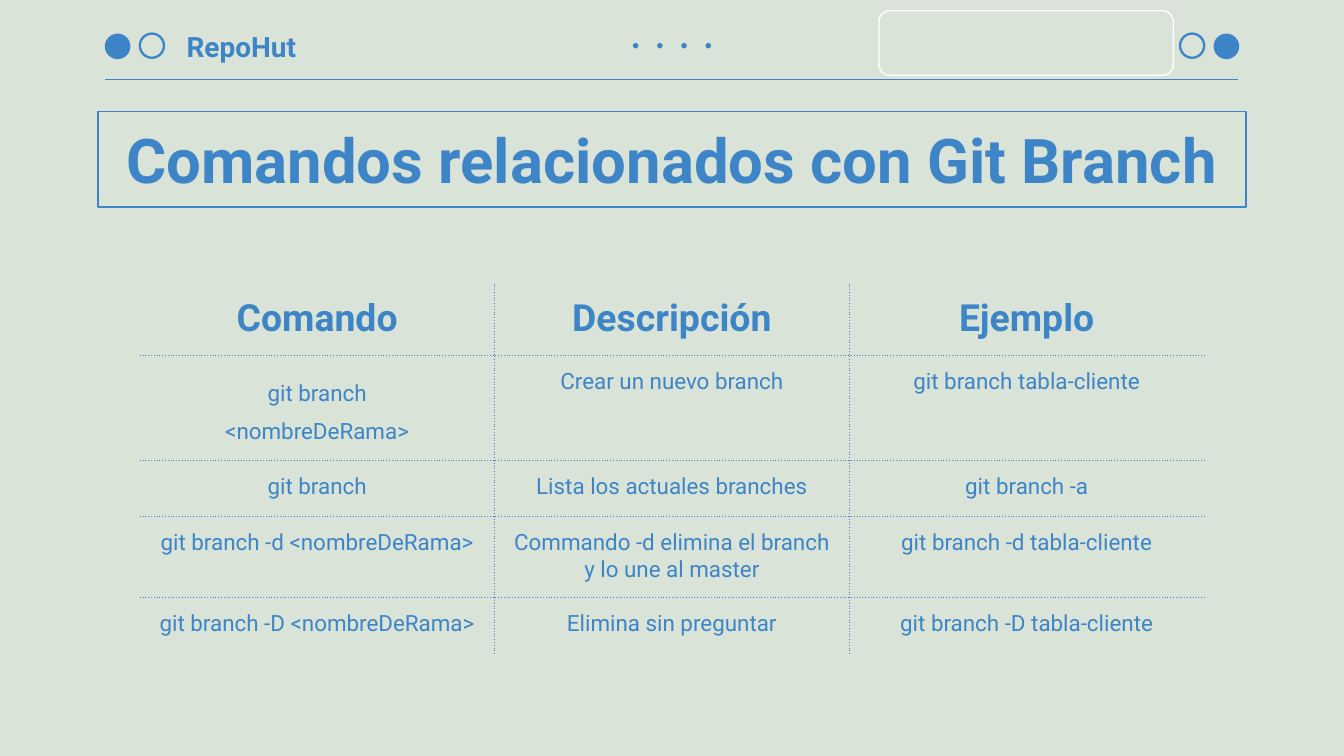
from dataclasses import dataclass
from typing import Any, Optional

from lxml.etree import SubElement
from pptx import Presentation
from pptx.dml.color import RGBColor
from pptx.enum.shapes import MSO_CONNECTOR, MSO_SHAPE
from pptx.enum.text import MSO_ANCHOR, MSO_AUTO_SIZE, PP_ALIGN
from pptx.oxml import parse_xml
from pptx.oxml.ns import nsdecls, qn
from pptx.util import Emu, Inches, Pt

BLUE, SAGE, WHITE = "3D85C6", "DAE3D7", "FFFFFF"
FONT = "Roboto"
COLS, ROWS = 100, 56.25  # square grid over the slide
UNIT = Inches(0.1)
INSET = Inches(0.1)


@dataclass
class Box:
    """A place on the grid, in columns and rows."""
    x: float
    y: float
    w: float
    h: float

    def emu(self) -> list[Emu]:
        return [grid(n) for n in (self.x, self.y, self.w, self.h)]


@dataclass
class Mark:
    """A preset shape with its fill and line."""
    box: Box
    fill: Optional[str] = None
    line: Optional[str] = None
    width: float = 0.75
    kind: MSO_SHAPE = MSO_SHAPE.OVAL


def grid(n: float) -> Emu:
    return Emu(round(n * UNIT))


def color(code: str) -> RGBColor:
    return RGBColor.from_string(code)


def paint(shape: Any, fill: Optional[str], line: Optional[str], width: float) -> None:
    if fill:
        shape.fill.solid()
        shape.fill.fore_color.rgb = color(fill)
    else:
        shape.fill.background()
    if line:
        shape.line.color.rgb = color(line)
        shape.line.width = Pt(width)
    else:
        shape.line.fill.background()


def draw(slide: Any, mark: Mark) -> None:
    shape = slide.shapes.add_shape(mark.kind, *mark.box.emu())
    shape.shadow.inherit = False
    paint(shape, mark.fill, mark.line, mark.width)


def write(frame: Any, text: str, size: float, bold: bool, align: PP_ALIGN) -> None:
    frame.text = text
    para = frame.paragraphs[0]
    para.alignment = align
    font = para.runs[0].font
    font.name, font.size, font.bold = FONT, Pt(size), bold
    font.color.rgb = color(BLUE)


def pad(item: Any) -> None:
    item.margin_left = item.margin_right = INSET
    item.margin_top = item.margin_bottom = INSET


def rule(slide: Any, x1: float, x2: float, y: float) -> None:
    line = slide.shapes.add_connector(
        MSO_CONNECTOR.STRAIGHT, grid(x1), grid(y), grid(x2), grid(y))
    line.line.color.rgb = color(BLUE)
    line.line.width = Pt(0.75)
    SubElement(line._element.spPr, qn("a:effectLst"))


def edge(cell: Any, sides: dict[str, bool]) -> None:
    """Dot the inner sides of a cell and clear the outer ones."""
    props = cell._tc.get_or_add_tcPr()
    for i, (side, inner) in enumerate(sides.items()):
        ink = (f'<a:solidFill><a:srgbClr val="{BLUE}"/></a:solidFill>'
               '<a:prstDash val="dot"/>') if inner else "<a:noFill/>"
        props.insert(i, parse_xml(
            f'<a:ln{side} {nsdecls("a")} w="{Pt(0.75)}">{ink}</a:ln{side}>'))


def chart(slide: Any, data: list[tuple[str, ...]], box: Box) -> Any:
    rows, cols = len(data), len(data[0])
    table = slide.shapes.add_table(rows, cols, *box.emu()).table
    table.first_row = table.horz_banding = False
    for r, texts in enumerate(data):
        for c, text in enumerate(texts):
            cell = table.cell(r, c)
            pad(cell)
            cell.fill.background()
            head = r == 0
            write(cell.text_frame, text, 20 if head else 12, head, PP_ALIGN.CENTER)
            edge(cell, {"L": c > 0, "R": c < cols - 1,
                        "T": r > 0, "B": r < rows - 1})
    return table


DATA = [
    ("Comando", "Descripción", "Ejemplo"),
    ("git branch <nombreDeRama>", "Crear un nuevo branch",
     "git branch tabla-cliente"),
    ("git branch", "Lista los actuales branches", "git branch -a"),
    ("git branch -d <nombreDeRama>",
     "Commando -d elimina el branch y lo une al master",
     "git branch -d tabla-cliente"),
    ("git branch -D <nombreDeRama>", "Elimina sin preguntar",
     "git branch -D tabla-cliente"),
]


def main() -> None:
    deck = Presentation()
    deck.slide_width, deck.slide_height = grid(COLS), grid(ROWS)
    slide = deck.slides.add_slide(deck.slide_layouts[5])
    slide.background.fill.solid()
    slide.background.fill.fore_color.rgb = color(SAGE)

    # Header: rule, discs, rings and dots
    rule(slide, 7.8, 92.1, 5.9)
    for x in (7.8, 90.3):
        draw(slide, Mark(Box(x, 2.5, 1.9, 1.9), fill=BLUE))
    for x in (10.4, 87.8):
        draw(slide, Mark(Box(x, 2.5, 1.8, 1.8), line=BLUE, width=1.25))
    for i in range(4):
        draw(slide, Mark(Box(47.1 + 1.8 * i, 3.2, 0.4, 0.4), fill=BLUE))

    # Header name
    name = slide.shapes.add_textbox(*Box(12.9, 1.6, 10.8, 3.7).emu()).text_frame
    name.word_wrap = True
    name.vertical_anchor = MSO_ANCHOR.MIDDLE
    pad(name)
    write(name, "RepoHut", 15, True, PP_ALIGN.LEFT)

    # Title
    title = slide.shapes.title
    title.left, title.top, title.width, title.height = Box(7.3, 8.3, 85.4, 7.1).emu()
    paint(title, None, BLUE, 0.75)
    frame = title.text_frame
    frame.auto_size = MSO_AUTO_SIZE.NONE
    frame.vertical_anchor = MSO_ANCHOR.MIDDLE
    pad(frame)
    write(frame, "Comandos relacionados con Git Branch", 33, True, PP_ALIGN.CENTER)

    # Commands, the first of them indented on both sides
    table = chart(slide, DATA, Box(10.4, 21.1, 3 * 26.4, 5 * 4.2))
    para = table.cell(1, 0).text_frame.paragraphs[0]
    para.line_spacing, para.space_after = 1.45, Pt(12)
    props = para._p.get_or_add_pPr()
    for side in ("marL", "marR"):
        props.set(side, str(grid(1.7)))
    props.set("indent", "0")

    # Blank panel
    draw(slide, Mark(Box(65.4, 0.8, 21.9, 4.8), SAGE, WHITE,
                     kind=MSO_SHAPE.ROUNDED_RECTANGLE))

    deck.save("out.pptx")


if __name__ == "__main__":
    main()
